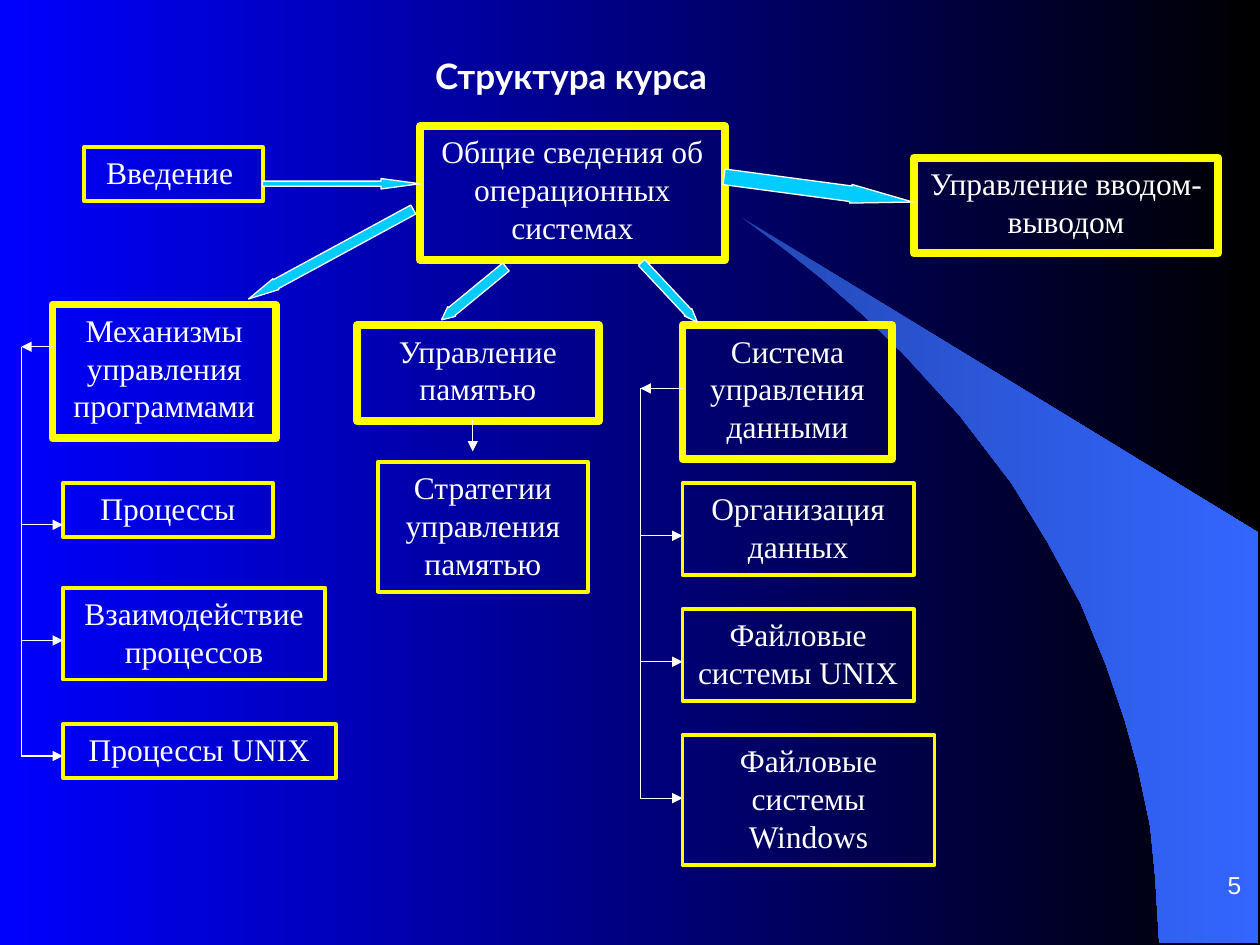
from pptx import Presentation
from pptx.dml.color import RGBColor
from pptx.enum.shapes import MSO_CONNECTOR, MSO_SHAPE
from pptx.enum.text import MSO_ANCHOR, PP_ALIGN
from pptx.oxml.ns import qn
from pptx.util import Cm, Pt
from lxml.etree import SubElement

rgb = RGBColor.from_string


def write(sp, text, font, size, align=PP_ALIGN.CENTER, bold=False):
    sp.text_frame.text = text
    p = sp.text_frame.paragraphs[0]
    p.alignment = align
    r = p.runs[0]
    r.font.name = font
    r.font.size = Pt(size)
    r.font.bold = bold
    r.font.color.rgb = rgb("FFFFFF")


def gradient(fill, start, end):
    fill.gradient()
    fill.gradient_angle = 0
    for stop, color in zip(fill.gradient_stops, (start, end)):
        stop.color.rgb = rgb(color)


prs = Presentation()
prs.slide_width, prs.slide_height = Cm(25.4), Cm(19.05)
s = prs.slides.add_slide(prs.slide_layouts[5])
gradient(s.background.fill, "0000FF", "000000")

title = s.shapes.title
title.left, title.top, title.width, title.height = Cm(2.08), Cm(0.97), Cm(18.87), Cm(1.09)
write(title, "Структура курса", "Lato", 20, bold=True)

swoosh = [
    (23.37, 19), (25.37, 19.02), (25.37, 10.74), (14.96, 4.39), (15.85, 5.05),
    (16.59, 5.64), (17.4, 6.35), (18.19, 7.11), (19.35, 8.38), (20.4, 9.75),
    (21.13, 10.95), (21.79, 12.17), (22.3, 13.41), (22.68, 14.53),
    (22.94, 15.47), (23.19, 16.66), (23.29, 17.68),
]
points = [(Cm(x), Cm(y)) for x, y in swoosh]
builder = s.shapes.build_freeform(*points[0])
builder.add_line_segments(points[1:], close=True)
sp = builder.convert_to_shape()
sp.shadow.inherit = False
sp.line.fill.background()
gradient(sp.fill, "2449B6", "3366FF")

sp = s.shapes.add_textbox(Cm(19.99), Cm(17.07), Cm(5.28), Cm(1.07))
tf = sp.text_frame
tf.word_wrap = True
tf.vertical_anchor = MSO_ANCHOR.BOTTOM
tf.margin_top = tf.margin_bottom = 0
write(sp, "5", "Arial", 14, PP_ALIGN.RIGHT)

thick, thin = 4.5, 2.25
boxes = [
    ("Введение ", 1.7, 2.97, 3.6, 1.09, thin),
    ("Общие сведения об операционных системах", 8.47, 2.54, 6.14, 2.7, thick),
    ("Управление вводом-выводом", 18.42, 3.18, 6.14, 1.93, thick),
    ("Механизмы управления программами", 1.06, 6.14, 4.5, 2.7, thick),
    ("Управление памятью", 7.2, 6.56, 4.87, 1.93, thick),
    ("Система управления данными", 13.76, 6.56, 4.23, 2.7, thick),
    ("Процессы", 1.27, 9.74, 4.23, 1.09, thin),
    ("Взаимодействие процессов", 1.27, 11.85, 5.29, 1.85, thin),
    ("Процессы UNIX", 1.27, 14.6, 5.5, 1.09, thin),
    ("Стратегии управления памятью", 7.62, 9.31, 4.23, 2.62, thin),
    ("Организация данных", 13.76, 9.74, 4.66, 1.85, thin),
    ("Файловые системы UNIX", 13.76, 12.28, 4.66, 1.85, thin),
    ("Файловые системы Windows", 13.76, 14.82, 5.08, 2.62, thin),
]
for text, x, y, w, h, weight in boxes:
    sp = s.shapes.add_shape(MSO_SHAPE.RECTANGLE, Cm(x), Cm(y), Cm(w), Cm(h))
    sp.shadow.inherit = False
    sp.fill.background()
    sp.line.color.rgb = rgb("FFFF00")
    sp.line.width = Pt(weight)
    sp.text_frame.word_wrap = True
    sp.text_frame.vertical_anchor = MSO_ANCHOR.TOP
    write(sp, text, "Times New Roman", 18)

arrows = [
    (5.29, 3.6, 3.18, 0.21, 0, 0.5, 3.75),
    (4.78, 5, 3.78, 0.25, 151.5, 0.83, 2.5),
    (8.71, 5.79, 1.68, 0.25, 140.6, 0.83, 1.06),
    (12.67, 5.79, 1.65, 0.21, 46.9, 0.83, 1.31),
    (14.58, 3.63, 3.84, 0.38, 7.6, 0.83, 3.32),
]
for x, y, w, h, angle, shaft, head in arrows:
    sp = s.shapes.add_shape(MSO_SHAPE.RIGHT_ARROW, Cm(x), Cm(y), Cm(w), Cm(h))
    sp.shadow.inherit = False
    sp.rotation = angle
    sp.adjustments[0], sp.adjustments[1] = shaft, head
    sp.fill.solid()
    sp.fill.fore_color.rgb = rgb("00CCFF")
    sp.line.color.rgb = rgb("FFFFFF")
    sp.line.width = Pt(0.75)

lines = [(9.53, 8.47, 9.53, 9.1, True)]
trees = [
    (0.43, 1.06, 6.99, 1.27, (10.58, 12.91, 15.24)),
    (12.91, 13.76, 7.83, 13.76, (10.8, 13.34, 16.09)),
]
for trunk, parent, top, child, rows in trees:
    lines.append((parent, top, trunk, top, True))
    lines.append((trunk, top, trunk, rows[-1], False))
    lines += [(trunk, y, child, y, True) for y in rows]

for x1, y1, x2, y2, arrowhead in lines:
    line = s.shapes.add_connector(MSO_CONNECTOR.STRAIGHT, Cm(x1), Cm(y1), Cm(x2), Cm(y2))
    line.line.color.rgb = rgb("FFFFFF")
    line.line.width = Pt(0.75)
    if arrowhead:
        SubElement(line.line._get_or_add_ln(), qn("a:tailEnd"), type="triangle")
    SubElement(line._element.spPr, qn("a:effectLst"))

prs.save("out.pptx")
